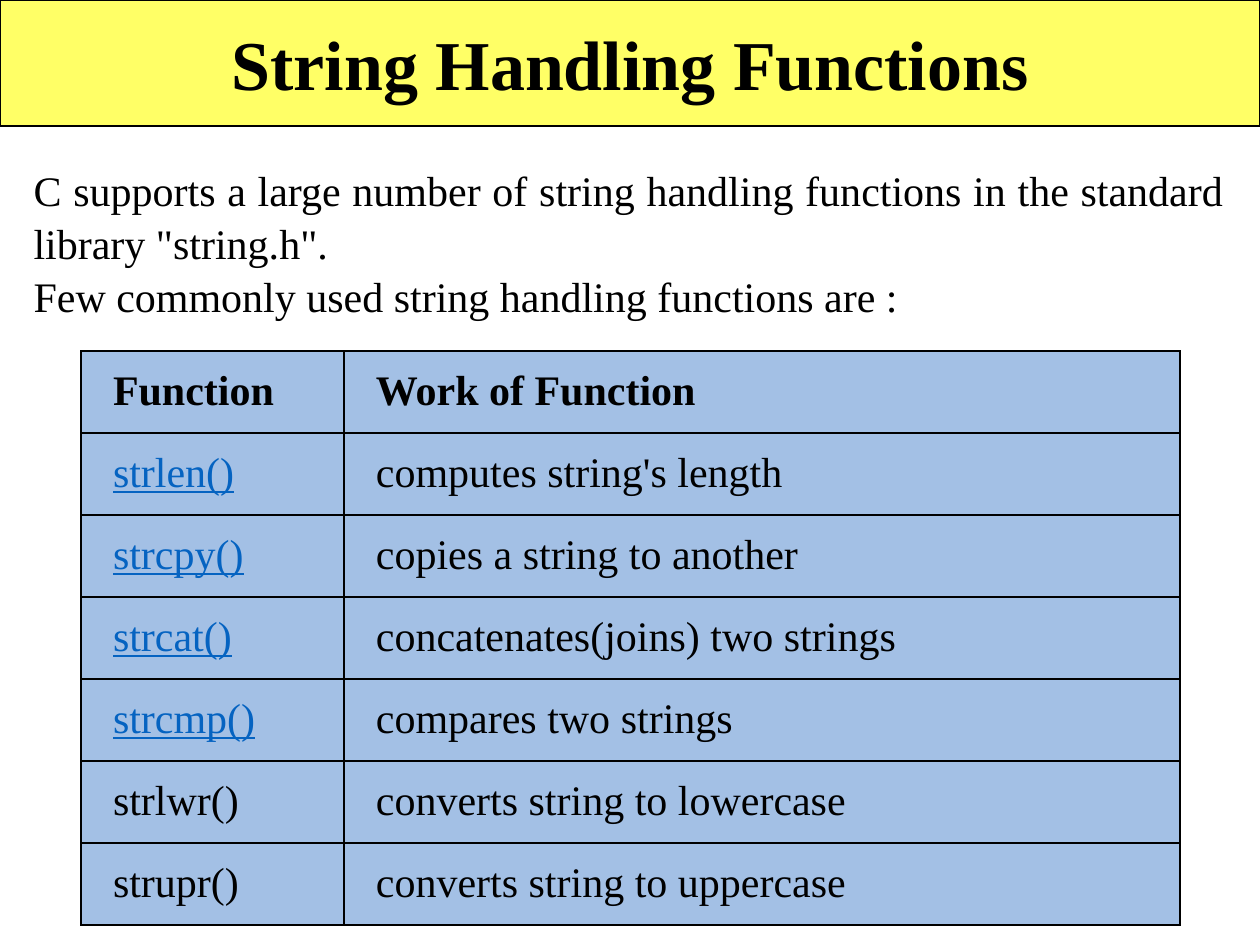
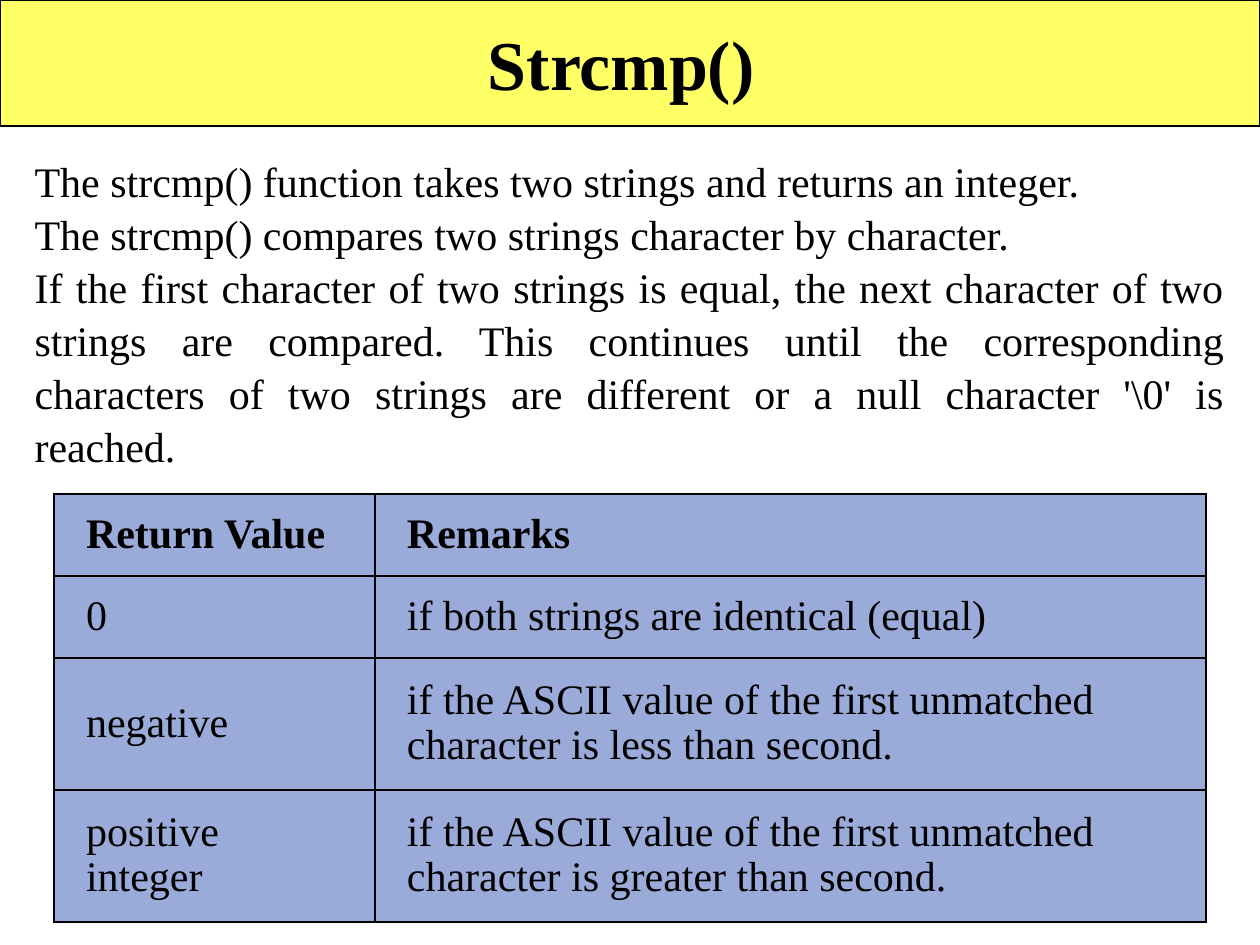
import pptx
import pptx.util
import pptx.dml.color
import pptx.enum.text
import pptx.oxml

# Content
SLIDES = [
    {
        "title": "String Handling Functions",
        "body": [
            'C supports a large number of string handling functions in the standard library "string.h".',
            "Few commonly used string handling functions are :",
        ],
        "box": (21, 156, 1215, 165),
        "rows": [
            ("Function", "Work of Function"),
            ("strlen()", "computes string's length"),
            ("strcpy()", "copies a string to another"),
            ("strcat()", "concatenates(joins) two strings"),
            ("strcmp()", "compares two strings"),
            ("strlwr()", "converts string to lowercase"),
            ("strupr()", "converts string to uppercase"),
        ],
        "links": {"strlen()", "strcpy()", "strcat()", "strcmp()"},
        "spot": (81, 351),
        "cols": (263, 836),
        "tall": (82,) * 7,
        "fill": "sky",
    },
    {
        "title": "Strcmp() ",
        "body": [
            "The strcmp() function takes two strings and returns an integer.",
            "The strcmp() compares two strings character by character.",
            "If the first character of two strings is equal, the next character of two strings "
            "are compared. This continues until the corresponding characters of two strings are "
            "different or a null character '\\0' is reached.",
        ],
        "box": (22, 147, 1215, 318),
        "rows": [
            ("Return Value", "Remarks"),
            ("0", "if both strings are identical (equal)"),
            ("negative", "if the ASCII value of the first unmatched character is less than second."),
            ("positive integer", "if the ASCII value of the first unmatched character is greater than second."),
        ],
        "links": set(),
        "spot": (54, 494),
        "cols": (321, 831),
        "tall": (82, 82, 132, 132),
        "fill": "blue",
    },
]

# Shared style
HUES = {"ink": "000000", "band": "FFFF66", "link": "0563C1", "sky": "A3C0E5", "blue": "9BABD9"}
FONT = "Times New Roman"
BAND = (0, 0, 1260, 126)
PAD_X, PAD_Y = 32, 15
TEXT = pptx.enum.text


def px(n):
    return pptx.util.Emu(round(n * 914400 / 126))


def hue(name):
    return pptx.dml.color.RGBColor.from_string(HUES[name])


def place(shape, box):
    shape.left, shape.top, shape.width, shape.height = map(px, box)


def style(para, size, bold=False, ink="ink", line=False):
    for run in para.runs:
        font = run.font
        font.name, font.size = FONT, pptx.util.Pt(size)
        font.bold, font.underline = bold, line
        font.color.rgb = hue(ink)


def add_title(slide, text):
    band = slide.shapes.title
    place(band, BAND)
    band.fill.solid()
    band.fill.fore_color.rgb = hue("band")
    band.line.color.rgb = hue("ink")
    band.line.width = pptx.util.Pt(0.75)
    frame = band.text_frame
    frame.text = text
    frame.auto_size = TEXT.MSO_AUTO_SIZE.NONE
    frame.word_wrap = False
    frame.vertical_anchor = TEXT.MSO_ANCHOR.MIDDLE
    para = frame.paragraphs[0]
    para.alignment = TEXT.PP_ALIGN.CENTER
    style(para, 40, bold=True)


def add_body(slide, lines, box):
    body = slide.placeholders[1]
    place(body, box)
    frame = body.text_frame
    frame.text = "\n".join(lines)
    frame.auto_size = TEXT.MSO_AUTO_SIZE.NONE
    for para in frame.paragraphs:
        para.alignment = TEXT.PP_ALIGN.JUSTIFY
        para.space_before = pptx.util.Pt(0)
        para.line_spacing = 1.05
        props = para._p.get_or_add_pPr()
        props.set("marL", "0")
        props.set("indent", "0")
        props.append(pptx.oxml.parse_xml(
            '<a:buNone xmlns:a="http://schemas.openxmlformats.org/drawingml/2006/main"/>'))
        style(para, 24)


def add_edges(cell):
    props = cell._tc.get_or_add_tcPr()
    for i, side in enumerate("LRTB"):
        props.insert(i, pptx.oxml.parse_xml(
            f'<a:ln{side} xmlns:a="http://schemas.openxmlformats.org/drawingml/2006/main" w="12700">'
            f'<a:solidFill><a:srgbClr val="{HUES["ink"]}"/></a:solidFill></a:ln{side}>'))


def add_grid(slide, data):
    rows, cols, tall = data["rows"], data["cols"], data["tall"]
    box = (*data["spot"], sum(cols), sum(tall))
    grid = slide.shapes.add_table(len(rows), len(cols), *map(px, box)).table
    for col, width in zip(grid.columns, cols):
        col.width = px(width)
    for r, row in enumerate(rows):
        grid.rows[r].height = px(tall[r])
        for c, text in enumerate(row):
            cell = grid.cell(r, c)
            cell.text = text
            cell.margin_left = cell.margin_right = px(PAD_X)
            cell.margin_top = cell.margin_bottom = px(PAD_Y)
            cell.vertical_anchor = TEXT.MSO_ANCHOR.MIDDLE
            cell.fill.solid()
            cell.fill.fore_color.rgb = hue(data["fill"])
            add_edges(cell)
            link = text in data["links"]
            para = cell.text_frame.paragraphs[0]
            para.line_spacing = 0.97
            style(para, 24, r == 0, "link" if link else "ink", link)


def main():
    deck = pptx.Presentation()
    deck.slide_width, deck.slide_height = px(1260), px(945)
    for data in SLIDES:
        slide = deck.slides.add_slide(deck.slide_layouts[1])
        add_title(slide, data["title"])
        add_body(slide, data["body"], data["box"])
        add_grid(slide, data)
    deck.save("out.pptx")


if __name__ == "__main__":
    main()
